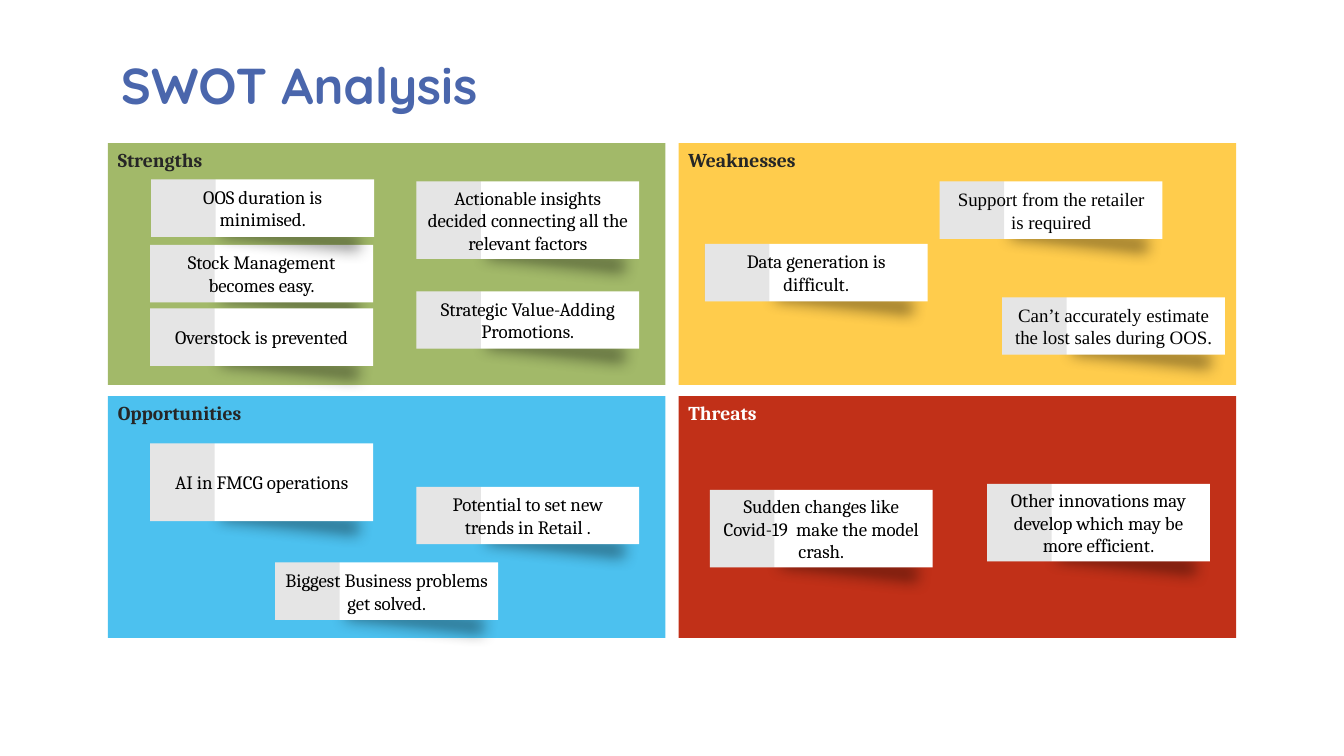
from lxml import etree
from pptx import Presentation
from pptx.dml.color import RGBColor
from pptx.enum.shapes import MSO_SHAPE
from pptx.enum.text import MSO_ANCHOR, MSO_AUTO_SIZE, PP_ALIGN
from pptx.oxml.ns import qn
from pptx.util import Inches, Pt

RECT = MSO_SHAPE.RECTANGLE
TOP, MID, BASE = MSO_ANCHOR.TOP, MSO_ANCHOR.MIDDLE, MSO_ANCHOR.BOTTOM
LEFT, MIDST = PP_ALIGN.LEFT, PP_ALIGN.CENTER
FIXED = MSO_AUTO_SIZE.NONE

BLUE = RGBColor(0x4A, 0x66, 0xAC)
GREEN = RGBColor(0xA2, 0xB9, 0x69)
GOLD = RGBColor(0xFF, 0xCC, 0x4C)
RED = RGBColor(0xC1, 0x30, 0x18)
SKY = RGBColor(0x4C, 0xC1, 0xEF)
DARK = RGBColor(0x26, 0x26, 0x26)
BLACK = RGBColor(0, 0, 0)
WHITE = RGBColor(0xFF, 0xFF, 0xFF)

SERIF, ROMAN, ROUND = "Cambria", "Times New Roman", "Quicksand"

UNIT = Inches(0.01)
WIDE, HIGH = 1333, 750
EDGE, HEAD = 107, 142
PANE_W, PANE_H = 553, 240
STEP_X, STEP_Y = 566, 251
CARD_W, BAND_W = 221, 64
STRIP_X, STRIP_UP, STRIP_W, STRIP_H = 66, 28.5, 137, 15

PANES = [
    ("Strengths", 0, 0, GREEN, DARK, [
        (306, 38, 3, SERIF, "Actionable insights decided connecting all the relevant factors"),
        (42, 101, 2, SERIF, "Stock Management becomes easy."),
        (42, 164, 2, SERIF, "Overstock is prevented"),
        (43, 36, 2, SERIF, "OOS duration is minimised."),
        (306, 147, 2, SERIF, "Strategic Value-Adding Promotions."),
    ]),
    ("Weaknesses", 1, 0, GOLD, DARK, [
        (26, 100, 2, SERIF, "Data generation is difficult."),
        (259, 38, 2, ROMAN, "Support from the retailer is required"),
        (321, 153, 2, ROMAN, "Can’t accurately estimate the lost sales during OOS."),
    ]),
    ("Threats", 1, 1, RED, WHITE, [
        (306, 87, 3, SERIF, "Other innovations may develop which may be more efficient."),
        (31, 93, 3, SERIF, "Sudden changes like Covid-19  make the model crash."),
    ]),
    ("Opportunities", 0, 1, SKY, DARK, [
        (306, 90, 2, SERIF, "Potential to set new trends in Retail ."),
        (42, 47, 3, SERIF, "AI in FMCG operations"),
        (166, 165, 2, SERIF, "Biggest Business problems get solved."),
    ]),
]


def scale(box):
    return [int(n * UNIT) for n in box]


def block(shapes, box, fill):
    shape = shapes.add_shape(RECT, *scale(box))
    shape.fill.solid()
    shape.fill.fore_color.rgb = fill
    shape.line.fill.background()
    shape.shadow.inherit = False
    return shape


def write(shape, text, anchor, align, font):
    frame = shape.text_frame
    frame.word_wrap = True
    frame.auto_size = FIXED
    frame.vertical_anchor = anchor
    frame.margin_left = frame.margin_right = Inches(0.1)
    frame.margin_top = frame.margin_bottom = Inches(0.05)
    para = frame.paragraphs[0]
    para.alignment = align
    run = para.add_run()
    run.text = text
    run.font.color.rgb = font["color"]
    for key in ("name", "size", "bold"):
        setattr(run.font, key, font[key])
    return para


def fade(node, share):
    etree.SubElement(node, qn("a:alpha"), val=str(share * 1000))


def shade(shape):
    list_ = shape.element.spPr.find(qn("a:effectLst"))
    cast = etree.SubElement(
        list_, qn("a:outerShdw"), blurRad=str(Pt(11)), dist=str(Pt(15)),
        dir=str(80 * 60000), algn="ctr", rotWithShape="0")
    fade(etree.SubElement(cast, qn("a:srgbClr"), val=str(BLACK)), 41)


def add_title(slide, box, text):
    title = slide.shapes.title
    title.left, title.top, title.width, title.height = scale(box)
    font = {"name": ROUND, "size": Pt(36), "bold": True, "color": BLUE}
    write(title, text, BASE, LEFT, font).line_spacing = 0.8


def add_card(slide, box, face, text):
    x, y, wide, high = box
    parts = slide.shapes.add_group_shape().shapes
    strip = block(parts, (x + STRIP_X, y + high - STRIP_UP, STRIP_W, STRIP_H), BLUE)
    strip.rotation = 6
    shade(strip)
    card = block(parts, box, WHITE)
    font = {"name": face, "size": Pt(13.5), "bold": False, "color": BLACK}
    write(card, text, MID, MIDST, font)
    band = block(parts, (x, y, BAND_W, high), BLACK)
    fade(band.element.spPr.find(qn("a:solidFill"))[0], 10)


def add_pane(slide, box, name, fill, ink, cards):
    pane = block(slide.shapes, box, fill)
    font = {"name": SERIF, "size": Pt(14), "bold": True, "color": ink}
    write(pane, name, TOP, LEFT, font)
    for x, y, rows, face, text in cards:
        spot = (box[0] + x, box[1] + y, CARD_W, 17 + 20 * rows)
        add_card(slide, spot, face, text)


def main():
    deck = Presentation()
    deck.slide_width, deck.slide_height = scale((WIDE, HIGH))
    slide = deck.slides.add_slide(deck.slide_layouts[5])
    add_title(slide, (110, 1, 950, 117), "SWOT Analysis")
    for name, col, row, fill, ink, cards in PANES:
        box = (EDGE + col * STEP_X, HEAD + row * STEP_Y, PANE_W, PANE_H)
        add_pane(slide, box, name, fill, ink, cards)
    deck.save("out.pptx")


if __name__ == "__main__":
    main()
